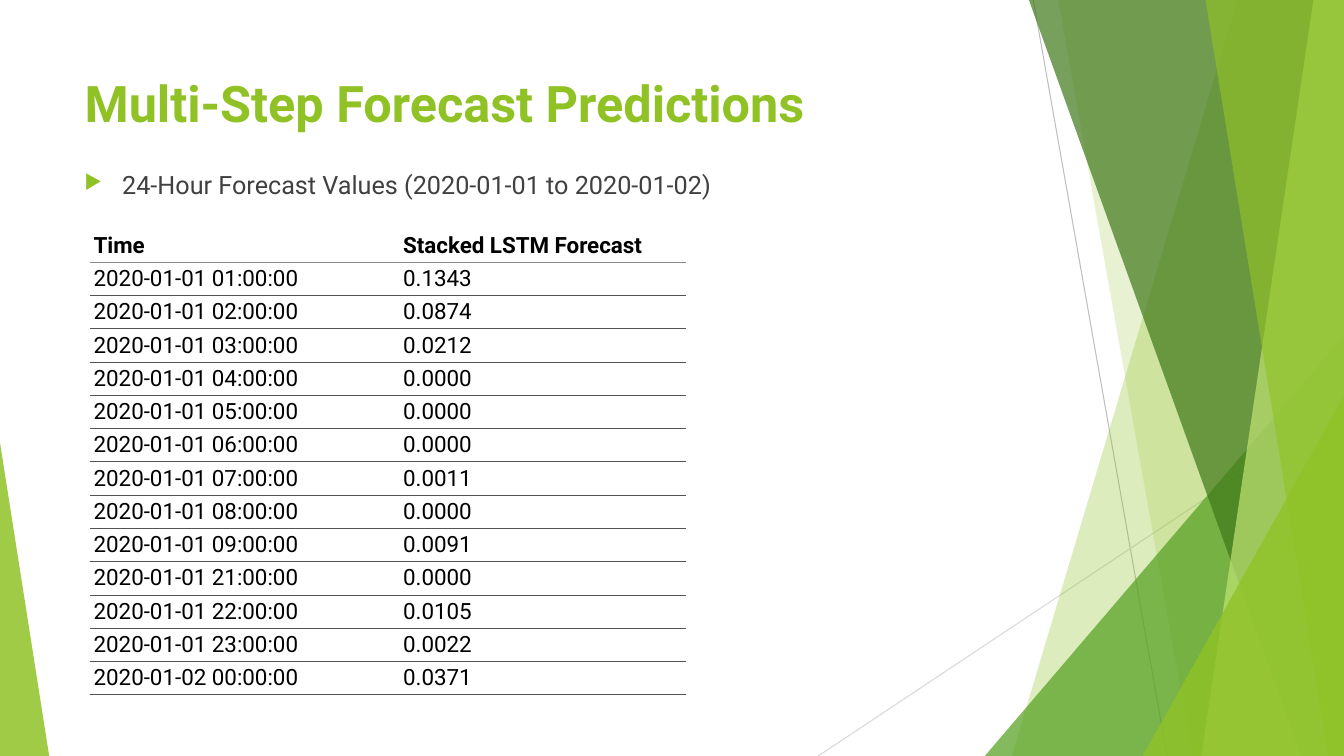
import pptx
import pptx.dml.color
import pptx.enum.shapes
import pptx.enum.text
import pptx.oxml
import pptx.oxml.ns
import pptx.util
from pptx.util import Cm

FONT = "Roboto"
LIME = "90C226"
SLIDE_WIDTH, SLIDE_HEIGHT = Cm(33.87), Cm(19.05)

# Top x and bottom x of the slanted edge, colour, opacity in percent
SLABS_BEHIND = [(31.19, 25.5, LIME, 30), (26.67, 30.05, LIME, 20)]
SLABS_IN_FRONT = [
    (25.93, 32.79, "3F7819", 70),
    (33.1, 30.28, "C0E474", 70),
    (30.38, 33.48, LIME, 65),
]

FORECAST = [
    ("Time", "Stacked LSTM Forecast"),
    ("2020-01-01 01:00:00", "0.1343"),
    ("2020-01-01 02:00:00", "0.0874"),
    ("2020-01-01 03:00:00", "0.0212"),
    ("2020-01-01 04:00:00", "0.0000"),
    ("2020-01-01 05:00:00", "0.0000"),
    ("2020-01-01 06:00:00", "0.0000"),
    ("2020-01-01 07:00:00", "0.0011"),
    ("2020-01-01 08:00:00", "0.0000"),
    ("2020-01-01 09:00:00", "0.0091"),
    ("2020-01-01 21:00:00", "0.0000"),
    ("2020-01-01 22:00:00", "0.0105"),
    ("2020-01-01 23:00:00", "0.0022"),
    ("2020-01-02 00:00:00", "0.0371"),
]


def rgb(color):
    return pptx.dml.color.RGBColor.from_string(color)


def add_xml(parent, tag, **attributes):
    element = pptx.oxml.ns.qn(tag)
    child = parent.makeelement(element, attributes)
    parent.append(child)
    return child


def format_text(paragraph, size, color, bold=False):
    for run in paragraph.runs:
        run.font.name = FONT
        run.font.size = pptx.util.Pt(size)
        run.font.bold = bold
        run.font.color.rgb = rgb(color)


def paint(shape, color, opacity):
    shape.shadow.inherit = False
    shape.line.fill.background()
    shape.fill.solid()
    shape.fill.fore_color.rgb = rgb(color)
    solid_color = shape.fill._xPr.find(".//" + pptx.oxml.ns.qn("a:srgbClr"))
    add_xml(solid_color, "a:alpha", val=str(opacity * 1000))


def add_thin_line(slide, begin, end, color):
    line = slide.shapes.add_connector(
        pptx.enum.shapes.MSO_CONNECTOR.STRAIGHT, *begin, *end)
    line.line.color.rgb = rgb(color)
    line.line.width = pptx.util.Pt(0.75)
    add_xml(line._element.spPr, "a:effectLst")


def add_slab(slide, left, top, right, bottom, top_x, bottom_x, color, opacity):
    """Fill the area between a slanted edge and the right side of the box."""
    builder = slide.shapes.build_freeform(left + Cm(top_x), top)
    builder.add_line_segments(
        [(right, top), (right, bottom), (left + Cm(bottom_x), bottom)])
    paint(builder.convert_to_shape(), color, opacity)


def add_triangle(slide, left, top, right, bottom, tip, color, opacity):
    """Draw a right triangle; tip is 0 for a left apex and 1 for a right one."""
    triangle = slide.shapes.add_shape(
        pptx.enum.shapes.MSO_SHAPE.ISOSCELES_TRIANGLE,
        left, top, right - left, bottom - top)
    triangle.adjustments[0] = tip
    paint(triangle, color, opacity)


def add_facets(slide, left, top, width, height):
    right, bottom = left + width, top + height
    add_thin_line(slide, (left + Cm(26.04), top), (left + Cm(29.41), bottom), "BFBFBF")
    add_thin_line(slide, (right, top + Cm(10.24)), (left + Cm(20.62), bottom), "D9D9D9")
    for slab in SLABS_BEHIND:
        add_slab(slide, left, top, right, bottom, *slab)
    add_triangle(slide, left + Cm(24.82), top + Cm(8.46), right, bottom, 1, "54A021", 72)
    for slab in SLABS_IN_FRONT:
        add_slab(slide, left, top, right, bottom, *slab)
    add_triangle(slide, left + Cm(28.8), top + Cm(9.98), right, bottom, 1, LIME, 80)
    add_triangle(slide, left, top + Cm(11.15), left + Cm(1.24), bottom, 0, LIME, 85)


def place_title(slide, left, top, width, height):
    title = slide.shapes.title
    title.left, title.top, title.width, title.height = left, top, width, height
    frame = title.text_frame
    frame.text = "Multi-Step Forecast Predictions"
    frame.auto_size = pptx.enum.text.MSO_AUTO_SIZE.NONE
    frame.vertical_anchor = pptx.enum.text.MSO_ANCHOR.TOP
    paragraph = frame.paragraphs[0]
    paragraph.alignment = pptx.enum.text.PP_ALIGN.LEFT
    format_text(paragraph, 36, LIME, bold=True)


def add_bullet_line(slide, left, top, width, height):
    frame = slide.shapes.add_textbox(left, top, width, height).text_frame
    frame.word_wrap = True
    frame.text = "24-Hour Forecast Values (2020-01-01 to 2020-01-02)"
    paragraph = frame.paragraphs[0]
    paragraph.space_before = pptx.util.Pt(10)
    format_text(paragraph, 18, "404040")
    properties = paragraph._p.get_or_add_pPr()
    properties.set("marL", str(Cm(0.95)))
    properties.set("indent", str(-Cm(0.95)))
    bullet_color = add_xml(properties, "a:buClr")
    add_xml(bullet_color, "a:srgbClr", val=LIME)
    add_xml(properties, "a:buSzPct", val="80000")
    add_xml(properties, "a:buChar", char="▶")


def set_borders(cell, top_color, bottom_color):
    properties = cell._tc.get_or_add_tcPr()
    sides = {"a:lnL": None, "a:lnR": None, "a:lnT": top_color, "a:lnB": bottom_color}
    for side, color in sides.items():
        border = add_xml(properties, side, w=str(pptx.util.Pt(0.48)))
        if color is None:
            add_xml(border, "a:noFill")
        else:
            add_xml(add_xml(border, "a:solidFill"), "a:srgbClr", val=color)


def add_forecast_table(slide, left, top, width, height):
    table = slide.shapes.add_table(len(FORECAST), 2, left, top, width, height).table
    table.horz_banding = False
    table.columns[0].width = Cm(7.82)
    table.columns[1].width = width - Cm(7.82)
    for row_index, values in enumerate(FORECAST):
        is_header = row_index == 0
        bottom_color = "8B8B8B" if is_header else "525252"
        top_color = {0: None, 1: "8B8B8B"}.get(row_index, "525252")
        for column_index, value in enumerate(values):
            cell = table.cell(row_index, column_index)
            cell.text = value
            cell.vertical_anchor = pptx.enum.text.MSO_ANCHOR.MIDDLE
            cell.margin_left = Cm(0.08 if column_index else 0.1)
            cell.margin_right = cell.margin_top = cell.margin_bottom = Cm(0.08)
            format_text(cell.text_frame.paragraphs[0], 16, "000000", bold=is_header)
            set_borders(cell, top_color, bottom_color)
            cell.fill.background()


def add_forecast_slide(presentation):
    title_only = presentation.slide_layouts[5]
    slide = presentation.slides.add_slide(title_only)
    add_facets(slide, 0, 0, SLIDE_WIDTH, SLIDE_HEIGHT)
    place_title(slide, Cm(1.88), Cm(1.7), Cm(23.88), Cm(3.66))
    add_bullet_line(slide, Cm(1.88), Cm(4.14), Cm(23.88), Cm(1.22))
    add_forecast_table(slide, Cm(2.26), Cm(5.77), Cm(15.04), Cm(0.81) * len(FORECAST))


def main():
    presentation = pptx.Presentation()
    presentation.slide_width, presentation.slide_height = SLIDE_WIDTH, SLIDE_HEIGHT
    add_forecast_slide(presentation)
    presentation.save("out.pptx")


if __name__ == "__main__":
    main()
